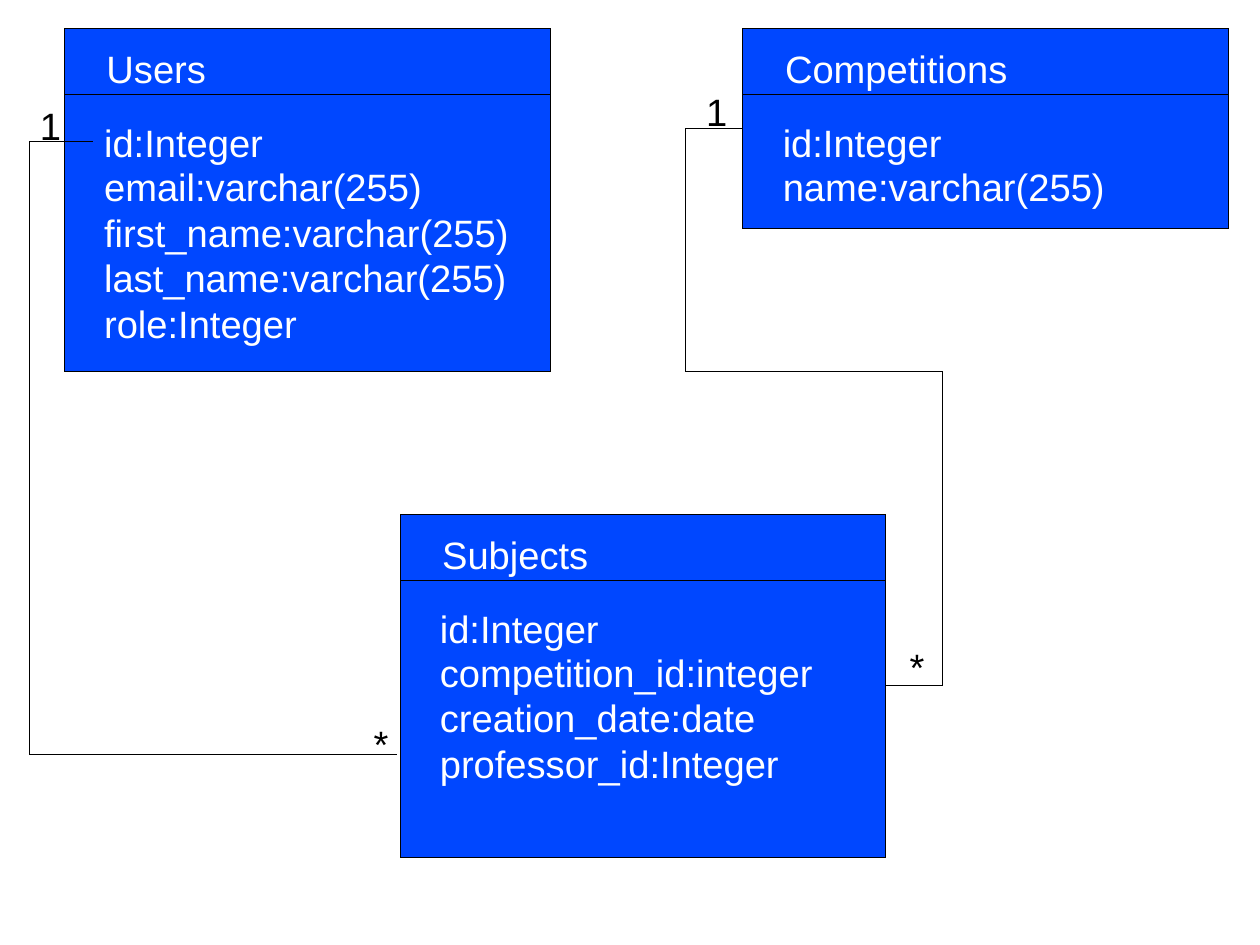
from lxml import etree
from pptx import Presentation, util as u
from pptx.dml.color import RGBColor
from pptx.enum import shapes, text
from pptx.oxml.ns import qn

CELL = 0.25  # side of a grid cell in inches
BLUE, BLACK, WHITE = "0047FF", "000000", "FFFFFF"


def grid(cells):
    return u.Inches(cells * CELL)


def paint(color_format, color):
    color_format.rgb = RGBColor.from_string(color)


def write(paragraph, content, *, font="Arial", size=24, color=BLACK):
    run = paragraph.add_run()
    run.text = content
    run.font.name = font
    run.font.size = u.Pt(size)
    paint(run.font.color, color)


class Diagram:
    """Draws entities and relations; places are columns and rows of the grid."""

    line_height = 1.48
    entity_width = 17

    def __init__(self, slide):
        self.slide = slide

    def outline(self, shape):
        shape.line.fill.solid()
        paint(shape.line.fill.fore_color, BLACK)
        # A hairline needs an explicit zero width
        shape._element.spPr.find(qn("a:ln")).set("w", "0")

    def label(self, column, row, width, lines, color=BLACK):
        height = 0.4 + self.line_height * len(lines)
        box = self.slide.shapes.add_textbox(
            grid(column), grid(row), grid(width), grid(height))
        frame = box.text_frame
        frame.word_wrap = False
        frame.auto_size = text.MSO_AUTO_SIZE.SHAPE_TO_FIT_TEXT
        for index, content in enumerate(lines):
            paragraph = frame.add_paragraph() if index else frame.paragraphs[0]
            write(paragraph, content, color=color)

    def connector(self, kind, start, end):
        line = self.slide.shapes.add_connector(
            kind, *(grid(place) for place in (*start, *end)))
        self.outline(line)
        etree.SubElement(line._element.spPr, qn("a:effectLst"))
        return line

    def relation(self, start, end, bends):
        """Elbow line whose bends are shares of its width and height."""
        line = self.connector(shapes.MSO_CONNECTOR.ELBOW, start, end)
        geometry = line._element.spPr.find(qn("a:prstGeom"))
        geometry.set("prst", f"bentConnector{len(bends) + 2}")
        guides = geometry.find(qn("a:avLst"))
        for number, bend in enumerate(bends, 1):
            etree.SubElement(guides, qn("a:gd"), name=f"adj{number}",
                             fmla=f"val {round(bend * 100000)}")
        return line

    def entity(self, column, row, height, name, name_width, fields, fields_width):
        body = self.slide.shapes.add_shape(
            shapes.MSO_SHAPE.RECTANGLE, grid(column), grid(row),
            grid(self.entity_width), grid(height))
        body.shadow.inherit = False
        body.fill.solid()
        paint(body.fill.fore_color, BLUE)
        self.outline(body)
        self.label(column + 1.08, row + 0.4, name_width, [name], WHITE)
        self.label(column + 1, row + 4.52, fields_width, fields, WHITE)
        self.label(column + 1, row + 3, 6.36, ["id:Integer"], WHITE)
        divider = row + 2.32
        self.connector(shapes.MSO_CONNECTOR.STRAIGHT, (column, divider),
                       (column + self.entity_width, divider))
        return body


def main():
    presentation = Presentation()
    presentation.slide_width = u.Cm(28)
    presentation.slide_height = u.Cm(21)
    slide = presentation.slides.add_slide(presentation.slide_layouts[6])
    diagram = Diagram(slide)

    # Entities
    diagram.entity(2.25, 1, 12, "Users", 4.3,
                   ["email:varchar(255)", "first_name:varchar(255)",
                    "last_name:varchar(255)", "role:Integer"], 15)
    competitions = diagram.entity(26, 1, 7, "Competitions", 8.7,
                                  ["name:varchar(255)"], 12.2)
    subjects = diagram.entity(14, 18, 12, "Subjects", 5.95,
                              ["competition_id:integer", "creation_date:date",
                               "professor_id:Integer"], 13.9)

    # Relations
    diagram.relation((3.25, 4.96), (13.88, 26.4), [-0.21])
    holds = diagram.relation((26, 4.5), (31, 24), [-0.4, 17 / 39, 1.4])
    holds.begin_connect(competitions, 1)
    holds.end_connect(subjects, 3)

    # Multiplicities
    for column, row, width, sign in [(1, 3.38, 1.52, "1"), (12.68, 25, 1.32, "*"),
                                     (24.32, 2.88, 1.52, "1"),
                                     (31.44, 22.32, 1.32, "*")]:
        diagram.label(column, row, width, [sign])

    presentation.save("out.pptx")


if __name__ == "__main__":
    main()
